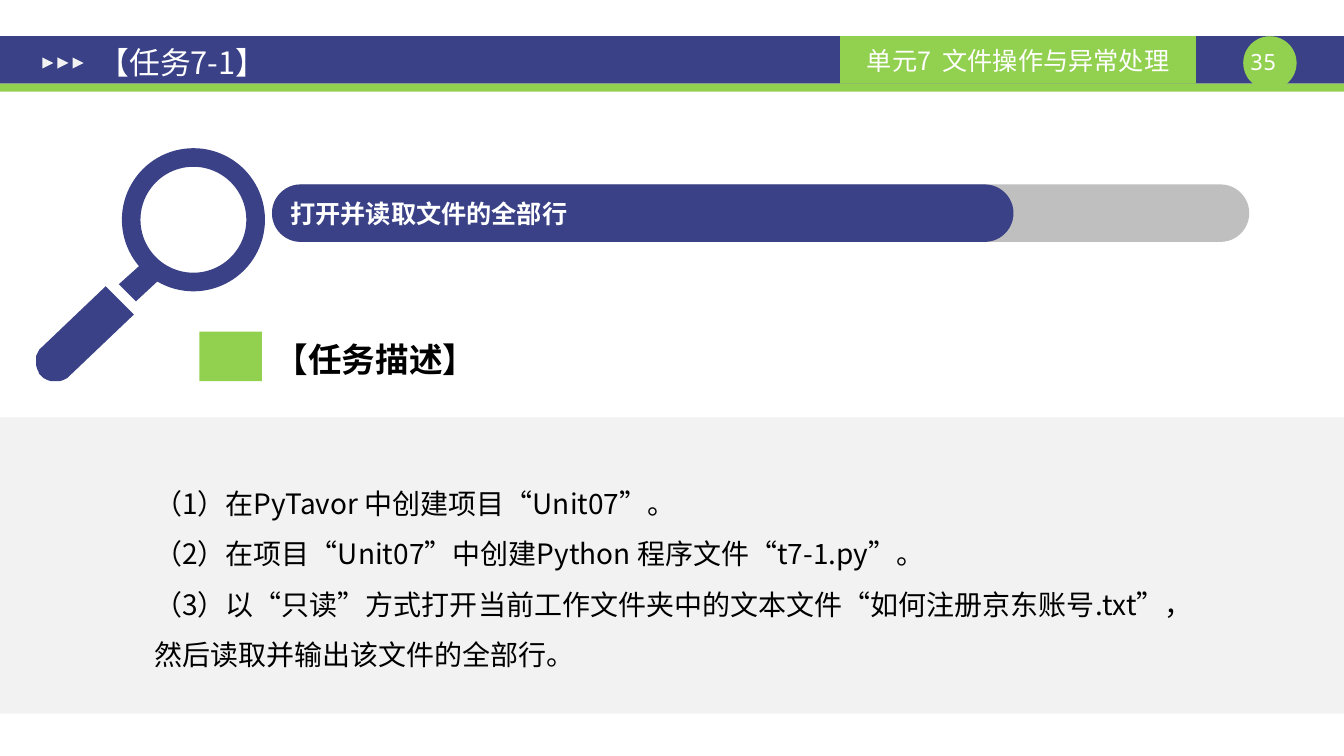
from lxml import etree
from pptx import Presentation, util as u
from pptx.dml.color import RGBColor
from pptx.enum import shapes, text
from pptx.oxml.ns import qn

PX = 9144
SANS = "Noto Sans CJK SC"
MONO = "Noto Sans Mono"
NAVY, GREEN, PALE, GREY = "3A4187", "92D050", "F2F2F2", "BFBFBF"
WHITE, BLACK = "FFFFFF", "000000"
KIND = shapes.MSO_SHAPE
ALIGN = text.PP_ALIGN
ANCHOR = text.MSO_ANCHOR


def px(*vals):
    return [u.Emu(v * PX) for v in vals]


def paint(fill, tone):
    fill.solid()
    fill.fore_color.rgb = RGBColor.from_string(tone)


def finish(shape, tone):
    shape.shadow.inherit = False
    paint(shape.fill, tone)
    shape.line.fill.background()
    return shape


def block(slide, kind, box, tone):
    return finish(slide.shapes.add_shape(kind, *px(*box)), tone)


def pill(slide, box, tone):
    shape = block(slide, KIND.ROUNDED_RECTANGLE, box, tone)
    shape.adjustments[0] = 0.5
    return shape


def outline(slide, x, y, points):
    pen = slide.shapes.build_freeform(*points[0], scale=PX)
    pen.add_line_segments(points[1:], close=True)
    return finish(pen.convert_to_shape(*px(x, y)), NAVY)


def write(shape, lines, size, tone, bold=False, align=ALIGN.LEFT,
          anchor=ANCHOR.MIDDLE, inset=(10, 5), face=SANS, space=1.0):
    frame = shape.text_frame
    frame.word_wrap = True
    frame.auto_size = text.MSO_AUTO_SIZE.NONE
    frame.vertical_anchor = anchor
    frame.margin_left, frame.margin_top = px(*inset)
    frame.margin_right, frame.margin_bottom = px(*inset)
    frame.text = "\n".join(lines)
    for para in frame.paragraphs:
        para.alignment = align
        para.line_spacing = space
        para.space_before = u.Pt(0)
        props = para._p.get_or_add_pPr()
        props.set("marL", "0")
        props.set("indent", "0")
        etree.SubElement(props, qn("a:buNone"))
        font = para.font
        font.size = u.Pt(size)
        font.bold = bold
        font.color.rgb = RGBColor.from_string(tone)
        font.name = face
        east = etree.SubElement(props.find(qn("a:defRPr")), qn("a:ea"))
        east.set("typeface", face)


def place(slide, holder, box):
    holder.left, holder.top, holder.width, holder.height = px(*box)
    slide.shapes._spTree.append(holder._element)
    return holder


def label(slide, box, line, size, tone, **style):
    write(slide.shapes.add_textbox(*px(*box)), [line], size, tone, **style)


def header(slide, x, y, w, h):
    block(slide, KIND.RECTANGLE, (x, y, w, h), NAVY)
    block(slide, KIND.RECTANGLE, (x, y + h, w, 8), GREEN)
    block(slide, KIND.OVAL, (x + w - 100, y, 53, 53), GREEN)
    label(slide, (x + w - 100, y + 12, 53, 27), "35 ", 16, WHITE,
          align=ALIGN.CENTER, anchor=ANCHOR.TOP, inset=(0, 0), face=MONO)
    unit = block(slide, KIND.RECTANGLE, (x + w - 500, y, 353, h), GREEN)
    write(unit, ["单元7  文件操作与异常处理"], 18, WHITE, align=ALIGN.CENTER)
    for i in range(3):
        arrow = block(slide, KIND.ISOSCELES_TRIANGLE,
                      (x + 42 + 15 * i, y + 21, 11, 11), PALE)
        arrow.rotation = 90
    title = place(slide, slide.shapes.title, (x + 85, y + 4, 807, 44))
    write(title, ["【任务7-1】"], 22, WHITE, inset=(13, 7))


def topic(slide, x, y, w, h):
    pill(slide, (x, y, w, h), GREY)
    bar = pill(slide, (x, y, 736, h), NAVY)
    write(bar, ["打开并读取文件的全部行"], 18, WHITE, bold=True)


def curve(a, b, c, d, steps=12):
    def at(t):
        s = 1 - t
        return tuple(s**3 * p + 3 * s * s * t * q + 3 * s * t * t * r + t**3 * v
                     for p, q, r, v in zip(a, b, c, d))
    return [at(i / steps) for i in range(steps + 1)]


def lens(slide, x, y):
    outline(slide, x, y, [(129, 126), (101, 152), (84, 135), (113, 109)])
    ring = block(slide, KIND.DONUT, (x + 87, y, 142, 142), NAVY)
    ring.adjustments[0] = 0.13
    left, right = (7, 226), (35, 226)
    grip = [(71, 137)]
    grip += curve((7, 198), (0, 205), (0, 217), left)
    grip += curve(left, (14, 233), (28, 233), right)
    grip += [(99, 165)]
    outline(slide, x, y, grip)


def heading(slide, x, y):
    block(slide, KIND.RECTANGLE, (x, y, 62, 49), GREEN)
    label(slide, (x + 65, y + 2, 246, 50), "【任务描述】", 24, BLACK,
          bold=True, anchor=ANCHOR.TOP)


def steps(slide, x, y, w, h):
    block(slide, KIND.RECTANGLE, (x, y, w, h), PALE)
    body = place(slide, slide.placeholders[1], (x + 144, y + 47, 1032, 212))
    write(body, [
        "（1）在PyTavor 中创建项目“Unit07”。",
        "（2）在项目“Unit07”中创建Python 程序文件“t7-1.py”。",
        "（3）以“只读”方式打开当前工作文件夹中的文本文件“如何注册京东账号.txt”，"
        "然后读取并输出该文件的全部行。",
    ], 20, BLACK, anchor=ANCHOR.TOP, space=1.5)


def main():
    deck = Presentation()
    deck.slide_width, deck.slide_height = px(1334, 750)
    slide = deck.slides.add_slide(deck.slide_layouts[1])
    header(slide, 0, 36, 1334, 47)
    topic(slide, 270, 183, 970, 57)
    lens(slide, 34, 147)
    heading(slide, 198, 329)
    steps(slide, -1, 414, 1335, 294)
    deck.save("out.pptx")


if __name__ == "__main__":
    main()
